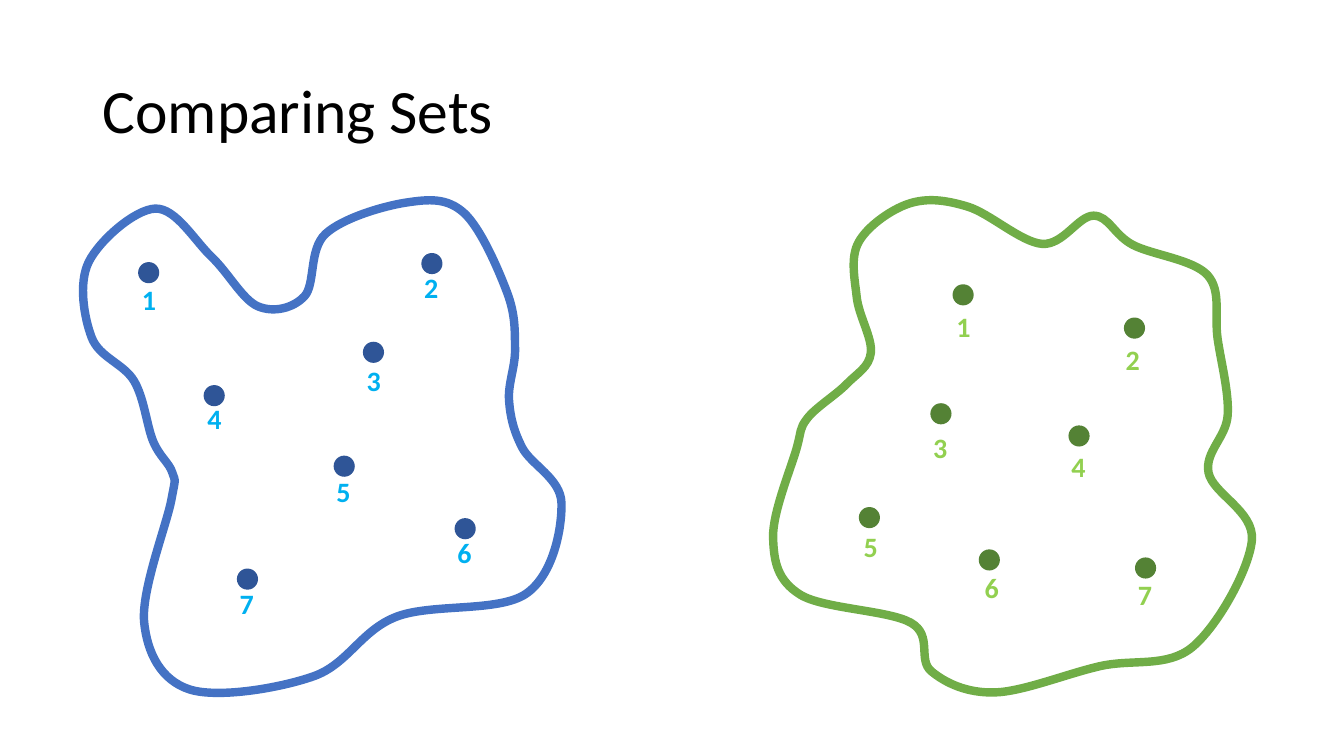
"""Draw two numbered point sets, each inside a closed smooth curve."""
from typing import Any, NamedTuple

from lxml import etree
from pptx import Presentation
from pptx import util as u
from pptx.dml.color import RGBColor
from pptx.enum import shapes, text
from pptx.oxml.ns import qn

CELL = u.Inches(0.01)  # the page is a grid of 1333 columns and 750 rows
DOT = 21
LABEL_WIDTH, LABEL_HEIGHT = 34, 44
SAMPLES = 24
FONT = "Calibri"

Point = tuple[float, float]


class Element(NamedTuple):
    """A numbered dot and its label, by their top left grid cells."""
    dot: Point
    label: Point


class PointSet(NamedTuple):
    """A set: its colours, the knots of its outline and its elements."""
    outline_color: str
    dot_color: str
    label_color: str
    knots: list[Point]
    elements: list[Element]


BLUE_SET = PointSet(
    "4472C4", "2F5597", "00B0F0",
    [(170, 496), (143, 617), (188, 684), (311, 671), (393, 612), (522, 589),
     (557, 499), (518, 444), (505, 397), (511, 346), (503, 290), (460, 211),
     (403, 201), (323, 232), (302, 294), (256, 304), (210, 255), (154, 207),
     (88, 260), (91, 335), (133, 378), (152, 438), (171, 469)],
    [Element((137, 260), (131, 275)), Element((418, 251), (411, 263)),
     Element((360, 339), (354, 356)), Element((202, 382), (196, 393)),
     Element((331, 452), (324, 466)), Element((451, 514), (444, 526)),
     Element((235, 564), (228, 577))],
)
GREEN_SET = PointSet(
    "70AD47", "548235", "92D050",
    [(790, 446), (767, 533), (794, 590), (904, 618), (924, 666), (987, 687),
     (1091, 661), (1183, 642), (1242, 536), (1199, 469), (1218, 412),
     (1208, 336), (1198, 273), (1124, 243), (1085, 214), (1034, 242),
     (960, 205), (902, 202), (852, 240), (850, 295), (864, 350), (840, 381),
     (801, 415)],
    [Element((945, 282), (939, 302)), Element((1115, 315), (1107, 335)),
     Element((923, 400), (916, 422)), Element((1060, 422), (1053, 441)),
     Element((852, 503), (847, 520)), Element((971, 545), (967, 561)),
     Element((1126, 553), (1119, 568))],
)


def color(value: str) -> RGBColor:
    """Turn a hex string into a colour."""
    return RGBColor.from_string(value)


def cells(*counts: float) -> list[int]:
    """Turn grid counts into lengths."""
    return [round(count * CELL) for count in counts]


def apply(target: Any, values: dict[str, Any]) -> None:
    """Set each named attribute of the target."""
    for name, value in values.items():
        setattr(target, name, value)


def smooth_segments(knots: list[Point]) -> list[list[Point]]:
    """Return the cubic segments of a closed Catmull-Rom curve."""
    segments = []
    for i, start in enumerate(knots):
        before = knots[i - 1]
        end, after = (knots[(i + step) % len(knots)] for step in (1, 2))
        leave = tuple(s + (e - b) / 6 for b, s, e in zip(before, start, end))
        arrive = tuple(e - (a - s) / 6 for s, e, a in zip(start, end, after))
        segments.append([start, leave, arrive, end])
    return segments


def point_on(segment: list[Point], t: float) -> Point:
    """Return the point of a cubic segment at share t."""
    weights = ((1 - t) ** 3, 3 * t * (1 - t) ** 2, 3 * t * t * (1 - t), t ** 3)
    return tuple(sum(w * p[axis] for w, p in zip(weights, segment))
                 for axis in (0, 1))


def add_outline(page: Any, point_set: PointSet) -> None:
    """Draw the closed curve; samples fix its bounds, cubics its course."""
    segments = smooth_segments(point_set.knots)
    samples = [cells(*point_on(segment, step / SAMPLES))
               for segment in segments for step in range(SAMPLES)]
    builder = page.shapes.build_freeform(*samples[0], scale=1.0)
    builder.add_line_segments(samples[1:], close=True)
    curve = builder.convert_to_shape()
    curve.shadow.inherit = False
    curve.fill.background()
    curve.line.color.rgb = color(point_set.outline_color)
    curve.line.width = u.Pt(6)

    course = curve._element.find(".//" + qn("a:path"))
    for line in course.findall(qn("a:lnTo")):
        course.remove(line)
    for place, segment in enumerate(segments, start=1):
        cubic = etree.Element(qn("a:cubicBezTo"))
        for point in segment[1:]:
            x, y = cells(*point)
            etree.SubElement(cubic, qn("a:pt"), x=str(x - curve.left),
                             y=str(y - curve.top))
        course.insert(place, cubic)


def add_dot(page: Any, at: Point, fill: str) -> None:
    """Draw one element as a filled dot."""
    dot = page.shapes.add_shape(shapes.MSO_SHAPE.OVAL, *cells(*at, DOT, DOT))
    dot.shadow.inherit = False
    dot.fill.solid()
    dot.fill.fore_color.rgb = color(fill)
    dot.line.fill.background()


def add_text(page: Any, words: str, at: tuple[float, ...], ink: str,
             frame: dict[str, Any], font: dict[str, Any],
             line_spacing: float = 1.0) -> None:
    """Write one paragraph in a text box."""
    box = page.shapes.add_textbox(*cells(*at))
    apply(box.text_frame, frame)
    para = box.text_frame.paragraphs[0]
    para.line_spacing = line_spacing
    span = para.add_run()
    span.text = words
    apply(span.font, {"name": FONT, **font})
    span.font.color.rgb = color(ink)


def add_set(page: Any, point_set: PointSet) -> None:
    """Draw a set: its outline, then its dots with their numbers."""
    add_outline(page, point_set)
    for number, element in enumerate(point_set.elements, start=1):
        add_dot(page, element.dot, point_set.dot_color)
        add_text(page, str(number),
                 (*element.label, LABEL_WIDTH, LABEL_HEIGHT),
                 point_set.label_color,
                 {"word_wrap": False,
                  "auto_size": text.MSO_AUTO_SIZE.SHAPE_TO_FIT_TEXT},
                 {"size": u.Pt(20), "bold": True})


def main() -> None:
    """Build the deck and save it."""
    deck = Presentation()
    apply(deck, {"slide_width": u.Emu(12192000),
                 "slide_height": u.Inches(7.5)})
    page = deck.slides.add_slide(deck.slide_layouts[6])
    add_text(page, "Comparing Sets", (92, 40, 1150, 145), "000000",
             {"word_wrap": True, "vertical_anchor": text.MSO_ANCHOR.MIDDLE},
             {"size": u.Pt(44)}, line_spacing=0.9)
    for point_set in (BLUE_SET, GREEN_SET):
        add_set(page, point_set)
    deck.save("out.pptx")


main()
